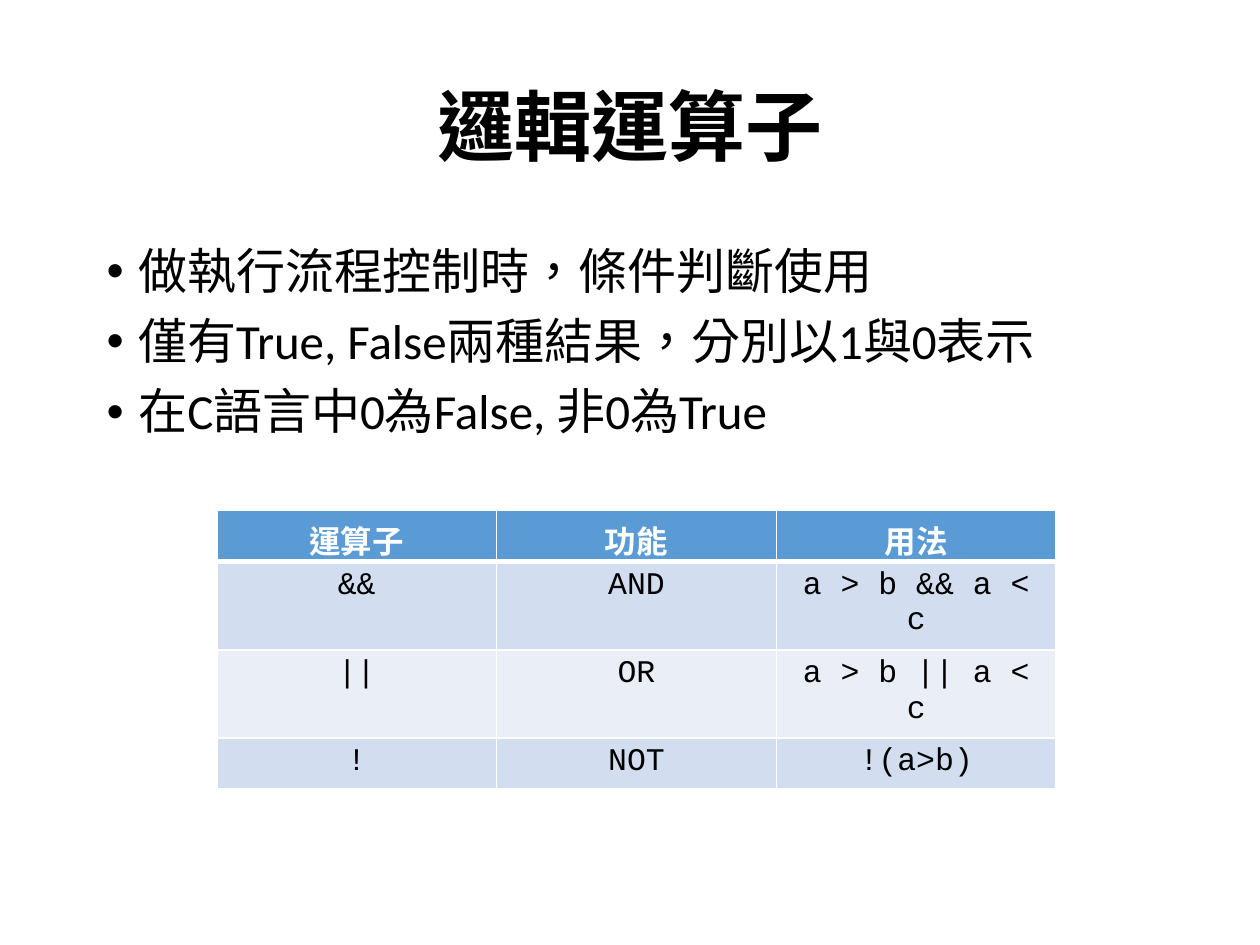
"""Build the slide on logical operators."""
from dataclasses import dataclass

from lxml.etree import SubElement
from pptx import Presentation
from pptx.dml.color import RGBColor
from pptx.enum.lang import MSO_LANGUAGE_ID
from pptx.enum.text import MSO_ANCHOR, PP_ALIGN
from pptx.oxml.ns import qn
from pptx.slide import Slide
from pptx.table import _Cell
from pptx.text.text import TextFrame, _Paragraph
from pptx.util import Cm, Length, Pt

BLACK = RGBColor(0x00, 0x00, 0x00)
WHITE = RGBColor(0xFF, 0xFF, 0xFF)
HEADER_BLUE = RGBColor(0x5B, 0x9B, 0xD5)
BANDS = (RGBColor(0xD2, 0xDE, 0xEF), RGBColor(0xEA, 0xEF, 0xF7))

MARGIN = Cm(1.9)
CONTENT_WIDTH = Cm(21.6)
COLUMN_WIDTH = Cm(5.64)
ROW_HEIGHT = Cm(1.03)
THIN, THICK = Pt(1), Pt(3)


@dataclass(frozen=True)
class TextStyle:
    font: str
    size: Length
    color: RGBColor
    bold: bool = False


@dataclass(frozen=True)
class Operator:
    symbol: str
    meaning: str
    usage: str


TITLE_STYLE = TextStyle("Arial", Pt(44), BLACK, True)
POINT_STYLE = TextStyle("Calibri", Pt(28), BLACK)
HEADER_STYLE = TextStyle("Calibri", Pt(18), WHITE, True)
CODE_STYLE = TextStyle("Courier New", Pt(18), BLACK)

POINTS = (
    "做執行流程控制時，條件判斷使用",
    "僅有True, False兩種結果，分別以1與0表示",
    "在C語言中0為False, 非0為True",
)
OPERATORS = (
    Operator("運算子", "功能", "用法"),
    Operator("&&", "AND", "a > b && a < c"),
    Operator("||", "OR", "a > b || a < c"),
    Operator("!", "NOT", "!(a>b)"),
)


def add_run(paragraph: _Paragraph, text: str, style: TextStyle) -> None:
    run = paragraph.add_run()
    run.text = text
    run.font.name = style.font
    run.font.size = style.size
    run.font.bold = style.bold
    run.font.color.rgb = style.color
    run.font.language_id = MSO_LANGUAGE_ID.TRADITIONAL_CHINESE


def add_frame(slide: Slide, top: Length, height: Length) -> TextFrame:
    frame = slide.shapes.add_textbox(MARGIN, top, CONTENT_WIDTH, height).text_frame
    frame.word_wrap = True
    return frame


def add_title(slide: Slide, text: str) -> None:
    frame = add_frame(slide, Cm(0.79), Cm(3.68))
    frame.vertical_anchor = MSO_ANCHOR.MIDDLE
    heading = frame.paragraphs[0]
    heading.alignment = PP_ALIGN.CENTER
    heading.line_spacing = 0.9
    add_run(heading, text, TITLE_STYLE)


def add_points(slide: Slide, points: tuple[str, ...]) -> None:
    frame = add_frame(slide, Cm(4.85), Cm(12.32))
    indent = Cm(0.64)
    for index, text in enumerate(points):
        point = frame.add_paragraph() if index else frame.paragraphs[0]
        properties = point._p.get_or_add_pPr()
        properties.set("marL", str(indent))
        properties.set("indent", str(-indent))
        SubElement(properties, qn("a:buFont"), typeface="Arial")
        SubElement(properties, qn("a:buChar"), char="•")
        point.line_spacing = 0.9
        if index:
            point.space_before = Pt(10)
        add_run(point, text, POINT_STYLE)


def set_borders(cell: _Cell, top: Length, bottom: Length) -> None:
    properties = cell._tc.get_or_add_tcPr()
    for side, width in (("L", THIN), ("R", THIN), ("T", top), ("B", bottom)):
        border = SubElement(properties, qn(f"a:ln{side}"), w=str(width))
        color = SubElement(border, qn("a:solidFill"))
        SubElement(color, qn("a:srgbClr"), val=str(WHITE))


def add_operator_table(slide: Slide, operators: tuple[Operator, ...]) -> None:
    table = slide.shapes.add_table(
        len(operators), 3, Cm(4.37), Cm(10.29),
        3 * COLUMN_WIDTH, len(operators) * ROW_HEIGHT,
    ).table
    for column in table.columns:
        column.width = COLUMN_WIDTH
    for row, operator in enumerate(operators):
        table.rows[row].height = ROW_HEIGHT
        texts = (operator.symbol, operator.meaning, operator.usage)
        for column, text in enumerate(texts):
            cell = table.cell(row, column)
            set_borders(cell, THICK if row == 1 else THIN, THICK if row == 0 else THIN)
            cell.fill.solid()
            cell.fill.fore_color.rgb = BANDS[(row - 1) % 2] if row else HEADER_BLUE
            entry = cell.text_frame.paragraphs[0]
            entry.alignment = PP_ALIGN.CENTER
            add_run(entry, text, CODE_STYLE if row else HEADER_STYLE)


def main() -> None:
    presentation = Presentation()
    presentation.slide_width = Cm(25.4)
    presentation.slide_height = Cm(19.05)
    slide = presentation.slides.add_slide(presentation.slide_layouts[6])
    add_title(slide, "邏輯運算子")
    add_points(slide, POINTS)
    add_operator_table(slide, OPERATORS)
    presentation.save("out.pptx")


if __name__ == "__main__":
    main()
